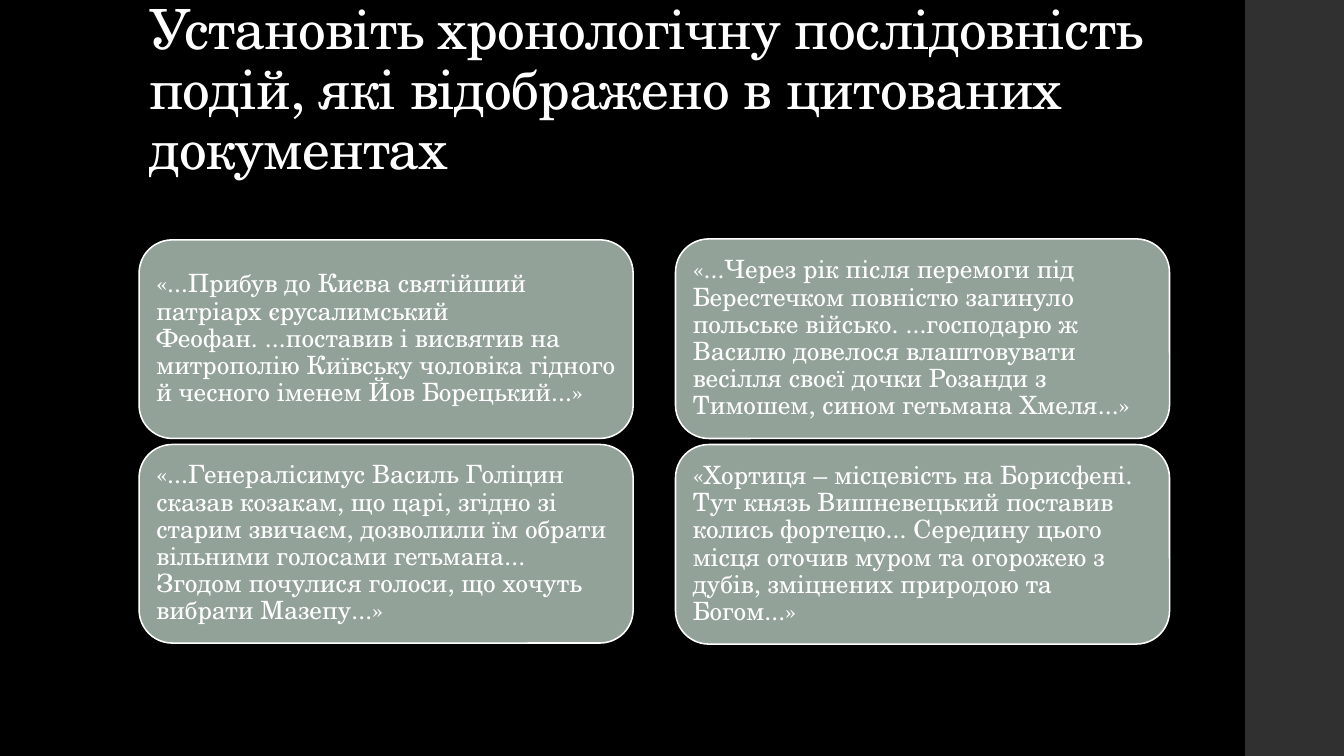
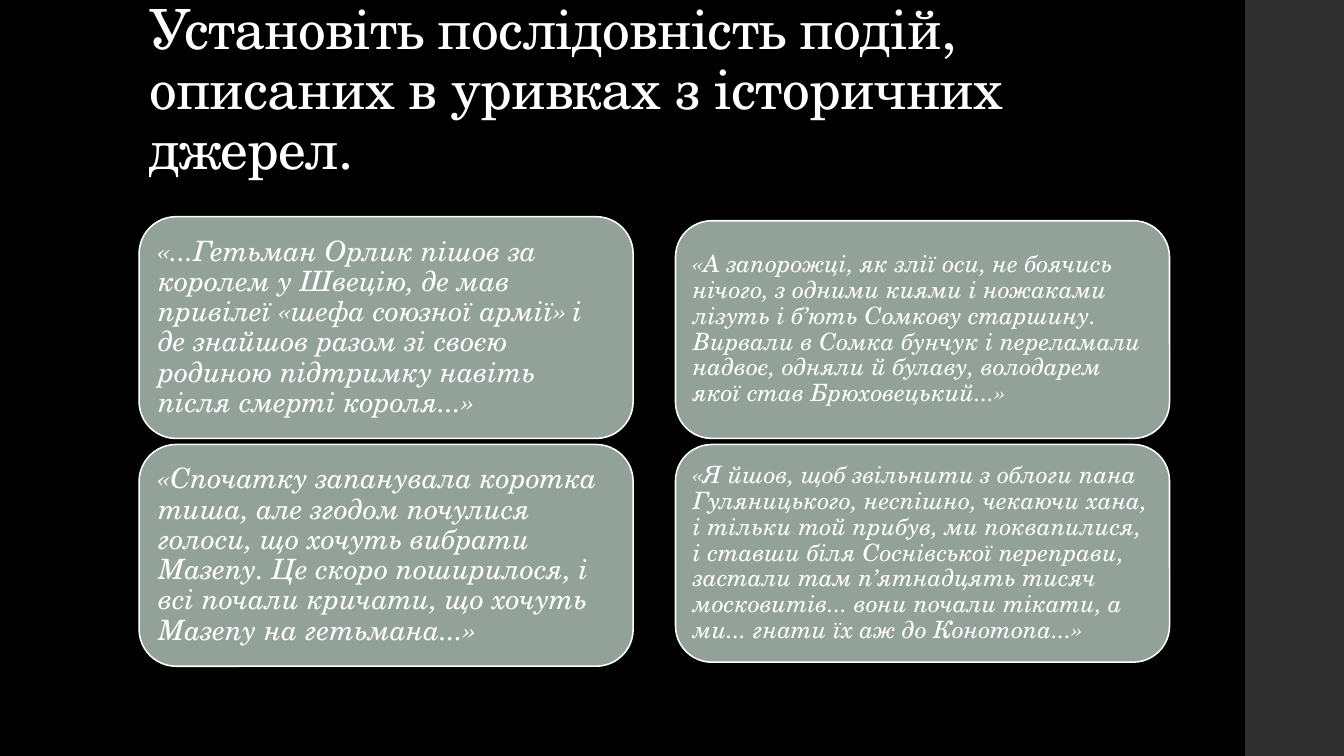
from pptx import Presentation
from pptx import util as u
from pptx.dml.color import RGBColor
from pptx.enum import shapes, text

HUES = {"back": "000000", "band": "303030", "card": "93A299", "text": "FFFFFF"}
FONT = "TeX Gyre Schola"
LEFT, STEP, WIDE = 1.38, 5.32, 4.9
MID, GAP = 4.38, 0.06

# Each slide: title, italic flag, columns of (card height, text size, quotes)
SLIDES = [
    ("Установіть хронологічну послідовність подій, які відображено в цитованих документах", False, [
        (1.97, 18, [
            "«...Прибув до Києва святійший патріарх єрусалимський Феофан. ...поставив і висвятив на "
            "митрополію Київську чоловіка гідного й чесного іменем Йов Борецький...»",
            "«...Генералісимус Василь Голіцин сказав козакам, що царі, згідно зі старим звичаєм, "
            "дозволили їм обрати вільними голосами гетьмана... Згодом почулися голоси, що хочуть "
            "вибрати Мазепу...»"]),
        (1.98, 18, [
            "«...Через рік після перемоги під Берестечком повністю загинуло польське військо. "
            "...господарю ж Василю довелося влаштовувати весілля своєї дочки Розанди з Тимошем, "
            "сином гетьмана Хмеля...»",
            "«Хортиця – місцевість на Борисфені. Тут князь Вишневецький поставив колись фортецю... "
            "Середину цього місця оточив муром та огорожею з дубів, зміцнених природою та Богом...»"]),
    ]),
    ("Установіть послідовність подій, описаних в уривках з історичних джерел.", True, [
        (2.2, 20, [
            "«...Гетьман Орлик пішов за королем у Швецію, де мав привілеї «шефа союзної армії» і де "
            "знайшов разом зі своєю родиною підтримку навіть після смерті короля...»",
            "«Спочатку запанувала коротка тиша, але згодом почулися голоси, що хочуть вибрати "
            "Мазепу. Це скоро поширилося, і всі почали кричати, що хочуть Мазепу на гетьмана...»"]),
        (2.16, 17, [
            "«А запорожці, як злії оси, не боячись нічого, з одними киями і ножаками лізуть і б’ють "
            "Сомкову старшину. Вирвали в Сомка бунчук і переламали надвоє, одняли й булаву, "
            "володарем якої став Брюховецький...»",
            "«Я йшов, щоб звільнити з облоги пана Гуляницького, неспішно, чекаючи хана, і тільки той "
            "прибув, ми поквапилися, і ставши біля Соснівської переправи, застали там п’ятнадцять "
            "тисяч московитів... вони почали тікати, а ми... гнати їх аж до Конотопа...»"]),
    ]),
]


def paint(fill, hue):
    fill.solid()
    fill.fore_color.rgb = RGBColor.from_string(HUES[hue])


def write(frame, words, size, anchor, italic=False, inset=None, track=None):
    """Fill a frame with one left-aligned paragraph; inset in points, track in 1/100 pt."""
    frame.word_wrap = True
    frame.auto_size = text.MSO_AUTO_SIZE.NONE
    frame.vertical_anchor = anchor
    if inset is not None:
        for side in ("left", "top", "right", "bottom"):
            setattr(frame, f"margin_{side}", u.Pt(inset))
    para = frame.paragraphs[0]
    para.alignment = text.PP_ALIGN.LEFT
    para.line_spacing = 0.9
    run = para.add_run()
    run.text = words
    font = run.font
    font.name, font.size, font.italic = FONT, u.Pt(size), italic
    font.color.rgb = RGBColor.from_string(HUES["text"])
    if track is not None:
        run._r.get_or_add_rPr().set("spc", str(track))


def block(slide, kind, box, hue):
    shape = slide.shapes.add_shape(kind, *map(u.Inches, box))
    shape.shadow.inherit = False
    paint(shape.fill, hue)
    shape.line.fill.background()
    return shape


def card(slide, box, words, size, italic):
    shape = block(slide, shapes.MSO_SHAPE.ROUNDED_RECTANGLE, box, "card")
    paint(shape.line.fill, "text")
    shape.line.width = u.Pt(1.1)
    write(shape.text_frame, words, size, text.MSO_ANCHOR.MIDDLE, italic, inset=size * 0.3)


def head(slide, words):
    title = slide.shapes.title
    title.left, title.top, title.width, title.height = map(u.Inches, (LEFT, 0.4, 10.6, 1.45))
    write(title.text_frame, words, 39.6, text.MSO_ANCHOR.BOTTOM, track=-50)


def cards(slide, cols, italic):
    """Stack each column's two cards about the shared middle line."""
    for col, (high, size, quotes) in enumerate(cols):
        top = MID - GAP / 2 - high
        for row, words in enumerate(quotes):
            box = (LEFT + col * STEP, top + row * (high + GAP), WIDE, high)
            card(slide, box, words, size, italic)


def dress(layout, slide):
    """Draw the side band once and hand it to the layout."""
    band = block(slide, shapes.MSO_SHAPE.RECTANGLE, (12.35, 0, 1, 7.5), "band")
    layout.shapes.element.insert(2, band.element)


def main():
    deck = Presentation()
    deck.slide_width, deck.slide_height = u.Inches(13.33), u.Inches(7.5)
    paint(deck.slide_master.background.fill, "back")
    layout = deck.slide_layouts[5]
    for num, (name, italic, cols) in enumerate(SLIDES):
        slide = deck.slides.add_slide(layout)
        if num == 0:
            dress(layout, slide)
        head(slide, name)
        cards(slide, cols, italic)
    deck.save("out.pptx")


if __name__ == "__main__":
    main()
